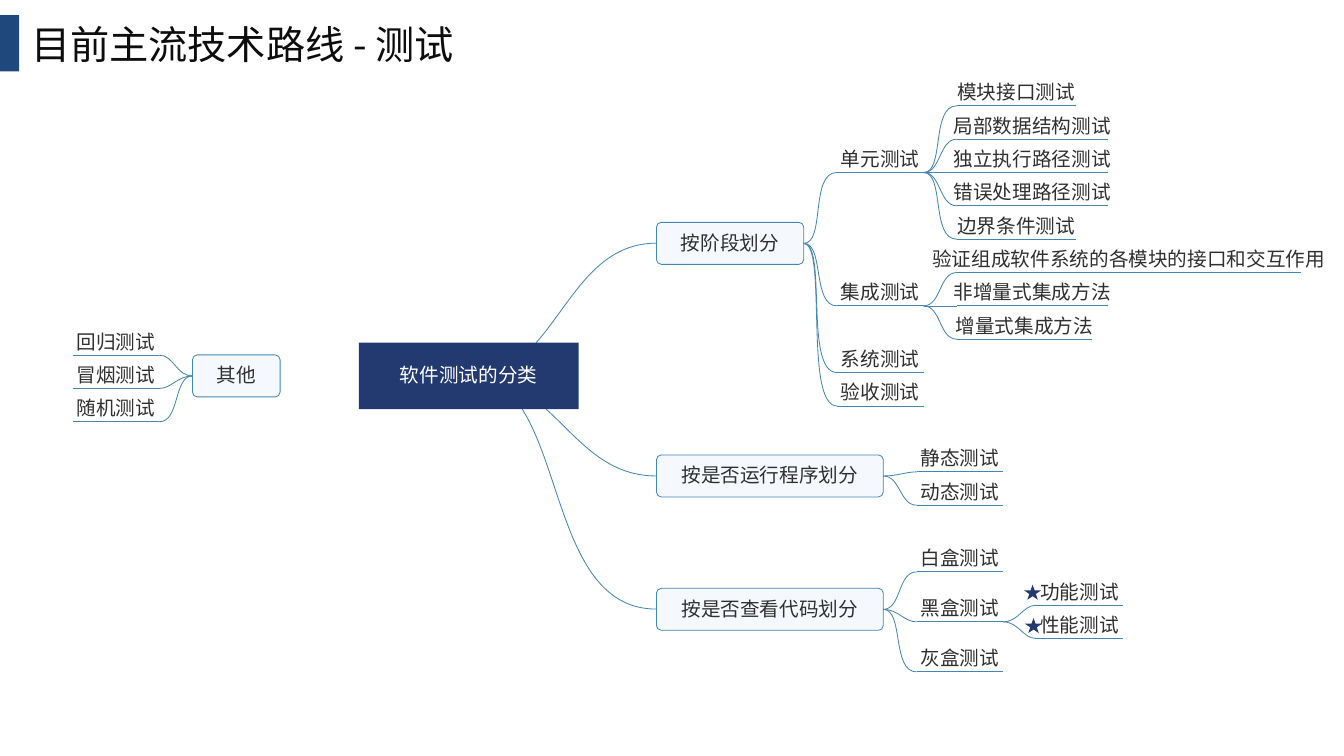
"""Build the mind map slide on the classification of software testing."""
import lxml.etree
import pptx
import pptx.dml.color
import pptx.enum.shapes
import pptx.enum.text
import pptx.oxml.ns
import pptx.util

TITLE = "目前主流技术路线 - 测试"
ROOT = "软件测试的分类"

UPPER_TOP, LOWER_TOP = 75.6, 75
RIGHT_BRANCHES = [
    ("按阶段划分", 4, UPPER_TOP, [
        ("单元测试", 2, [
            ("模块接口测试", 0, []),
            ("局部数据结构测试", 1, []),
            ("独立执行路径测试", 2, []),
            ("错误处理路径测试", 3, []),
            ("边界条件测试", 4, []),
        ]),
        ("集成测试", 6, [
            ("验证组成软件系统的各模块的接口和交互作用", 5, []),
            ("非增量式集成方法", 6, []),
            ("增量式集成方法", 7, []),
        ]),
        ("系统测试", 8, []),
        ("验收测试", 9, []),
    ]),
    ("按是否运行程序划分", 11, LOWER_TOP, [
        ("静态测试", 11, []),
        ("动态测试", 12, []),
    ]),
    ("按是否查看代码划分", 15, LOWER_TOP, [
        ("白盒测试", 14, []),
        ("黑盒测试", 15.5, [
            ("功能测试", 15, []),
            ("性能测试", 16, []),
        ]),
        ("灰盒测试", 17, []),
    ]),
]
LEFT_BRANCH = ("其他", 8, LOWER_TOP, [
    ("回归测试", 7.5, []),
    ("冒烟测试", 8.5, []),
    ("随机测试", 9.5, []),
])
ROOT_CENTER = (334.8, 268.5)
ROOT_CURVES = [
    [(383, 244.8), (408, 216.7), (425, 173.7), (468.9, 173.7)],
    [(390.2, 292.3), (413.3, 313.2), (432, 340), (468.9, 340)],
    [(373, 292.3), (402.5, 338.4), (404.6, 435.1), (468.9, 435.1)],
]
STARS = [(731.5, 417.6), (732.2, 441.4)]

FONT = "Noto Sans CJK SC"
BLUE, NAVY, PALE, INK = "4486B1", "233A70", "F5F9FE", "303030"
ROW_PITCH, GAP = 23.82, 23.8
LEAF_HEIGHT, BRANCH_HEIGHT = 18.3, 30
CORNER, CORNER_BEND = 3.4, 1.6
SHAPES = pptx.enum.shapes.MSO_SHAPE
Pt = pptx.util.Pt
qn = pptx.oxml.ns.qn

deck = pptx.Presentation()
deck.slide_width, deck.slide_height = Pt(960), Pt(540)
slide = deck.slides.add_slide(deck.slide_layouts[6])


def color(code):
    return pptx.dml.color.RGBColor.from_string(code)


def write(shape, text, size, ink, bottom=0):
    frame = shape.text_frame
    frame.margin_left = frame.margin_right = frame.margin_top = 0
    frame.margin_bottom = Pt(bottom)
    frame.vertical_anchor = pptx.enum.text.MSO_ANCHOR.MIDDLE
    run = frame.paragraphs[0].add_run()
    run.text = text
    run.font.size, run.font.name = Pt(size), FONT
    run.font.color.rgb = color(ink)
    east_asian = lxml.etree.SubElement(run.font._element, qn("a:ea"))
    east_asian.set("typeface", FONT)
    return frame


def label(shape, text, ink=INK):
    frame = write(shape, text, 14, ink, 1.4)
    frame.word_wrap = False
    frame.paragraphs[0].alignment = pptx.enum.text.PP_ALIGN.CENTER


def paint(shape, fill=None, outline=None):
    shape.shadow.inherit = False
    if fill:
        shape.fill.solid()
        shape.fill.fore_color.rgb = color(fill)
    else:
        shape.fill.background()
    if outline:
        shape.line.color.rgb, shape.line.width = color(outline), Pt(0.6)
    else:
        shape.line.fill.background()
    return shape


def block(kind, x, y, width, height, fill):
    return paint(slide.shapes.add_shape(kind, Pt(x), Pt(y), Pt(width), Pt(height)), fill)


def trace(x, y, width, height, contours, fill=None):
    """Draw contours of (command, points) steps, measured from the corner x, y."""
    builder = slide.shapes.build_freeform(Pt(x), Pt(y))
    builder.add_line_segments([(Pt(x + width), Pt(y + height))], close=False)
    shape = paint(builder.convert_to_shape(), fill, BLUE)
    frame = shape._element.find(".//" + qn("a:path"))
    for child in list(frame):
        frame.remove(child)
    for stroked, steps in contours:
        contour = lxml.etree.SubElement(frame.getparent(), qn("a:path"), dict(frame.attrib))
        if not stroked:
            contour.set("stroke", "0")
        for command, points in steps:
            step = lxml.etree.SubElement(contour, qn("a:" + command))
            for px, py in points:
                lxml.etree.SubElement(step, qn("a:pt"), x=str(Pt(px)), y=str(Pt(py)))
    frame.getparent().remove(frame)
    return shape


def curve(points, origin):
    (x1, y1), (x2, y2) = points[0], points[-1]
    x, y = (origin[0] + x2) / 2, (origin[1] + y2) / 2
    start, *bend = [(px - x, py - y) for px, py in points]
    trace(x, y, abs(x2 - x1), max(abs(y2 - y1), 0.7),
          [(True, [("moveTo", [start]), ("cubicBezTo", bend)])])


def link(x, y1, y2, side):
    rise = abs(y2 - y1)
    bend_out = min(10 + 0.11 * rise, 17)
    bend_in = max(17 - 0.25 * rise, 0)
    curve([(x, y1), (x + side * bend_out, y1),
           (x + side * bend_in, y2), (x + side * GAP, y2)], (x, y1))


def leaf(text, x, y, width):
    h = LEAF_HEIGHT
    area = [("moveTo", [(0, 0)]), ("lnTo", [(width, 0)]), ("lnTo", [(width, h)]),
            ("lnTo", [(0, h)]), ("close", [])]
    underline = [("moveTo", [(0, h)]), ("lnTo", [(width, h)])]
    label(trace(x, y - h, width, h, [(False, area), (True, underline)]), text)


def grow(children, x, y, side, top):
    for text, row, twigs in children:
        leaf_y = top + ROW_PITCH * row
        link(x, y, leaf_y, side)
        width = 15.8 + 11.5 * len(text)
        near = x + side * GAP
        far = near + side * width
        leaf(text, min(near, far), leaf_y, width)
        grow(twigs, far, leaf_y, side, top)


def branch(text, row, top, children, x, side):
    middle = top + ROW_PITCH * (row + 0.125)
    w, h = 34.2 + 14.2 * len(text), BRANCH_HEIGHT
    steps = [("moveTo", [(CORNER, 0)])]
    for cx, cy, dx, dy in [(w, 0, 1, 0), (w, h, 0, 1), (0, h, -1, 0), (0, 0, 0, -1)]:
        before = [(cx - dx * d, cy - dy * d) for d in (CORNER, CORNER_BEND)]
        after = [(cx - dy * d, cy + dx * d) for d in (CORNER_BEND, CORNER)]
        steps += [("lnTo", before[:1]), ("cubicBezTo", before[1:] + after)]
    steps.append(("close", []))
    label(trace(x, middle - h / 2, w, h, [(True, steps)], PALE), text)
    grow(children, x + w if side > 0 else x, middle, side, top)


title = slide.shapes.add_textbox(Pt(22.3), Pt(10.8), Pt(344), Pt(49.7))
title_frame = write(title, TITLE, 28, "0D0D0D")
title_frame.word_wrap = True
title_frame.paragraphs[0].line_spacing = 0.7
block(SHAPES.RECTANGLE, 0, 10.8, 13.7, 40.3, "1F497D")

for points in ROOT_CURVES:
    curve(points, ROOT_CENTER)
label(block(SHAPES.RECTANGLE, 256.3, 244.8, 157, 47.5, NAVY), ROOT, "FFFFFF")
for name, row, top, children in RIGHT_BRANCHES:
    branch(name, row, top, children, 468.9, 1)
branch(*LEFT_BRANCH, 137.5, -1)
for x, y in STARS:
    block(SHAPES.STAR_5_POINT, x, y, 12.2, 10.8, NAVY)

deck.save("out.pptx")
